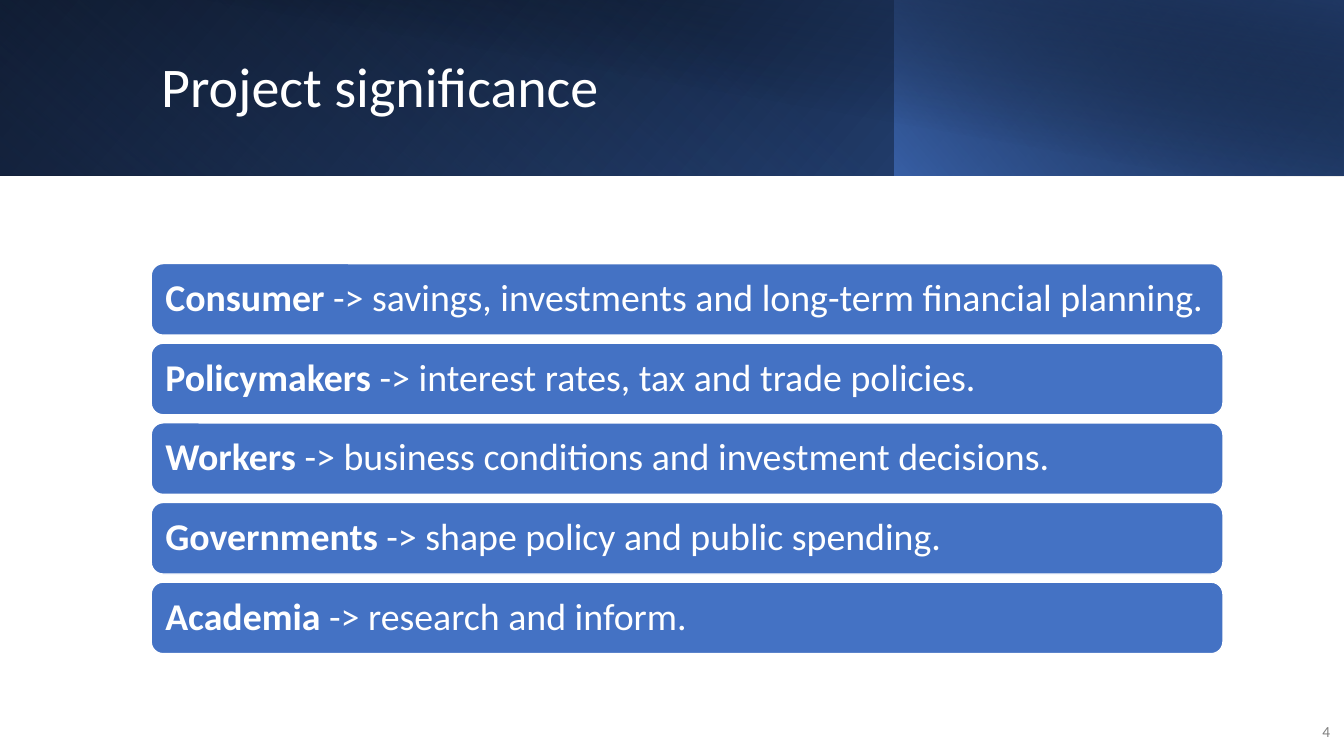
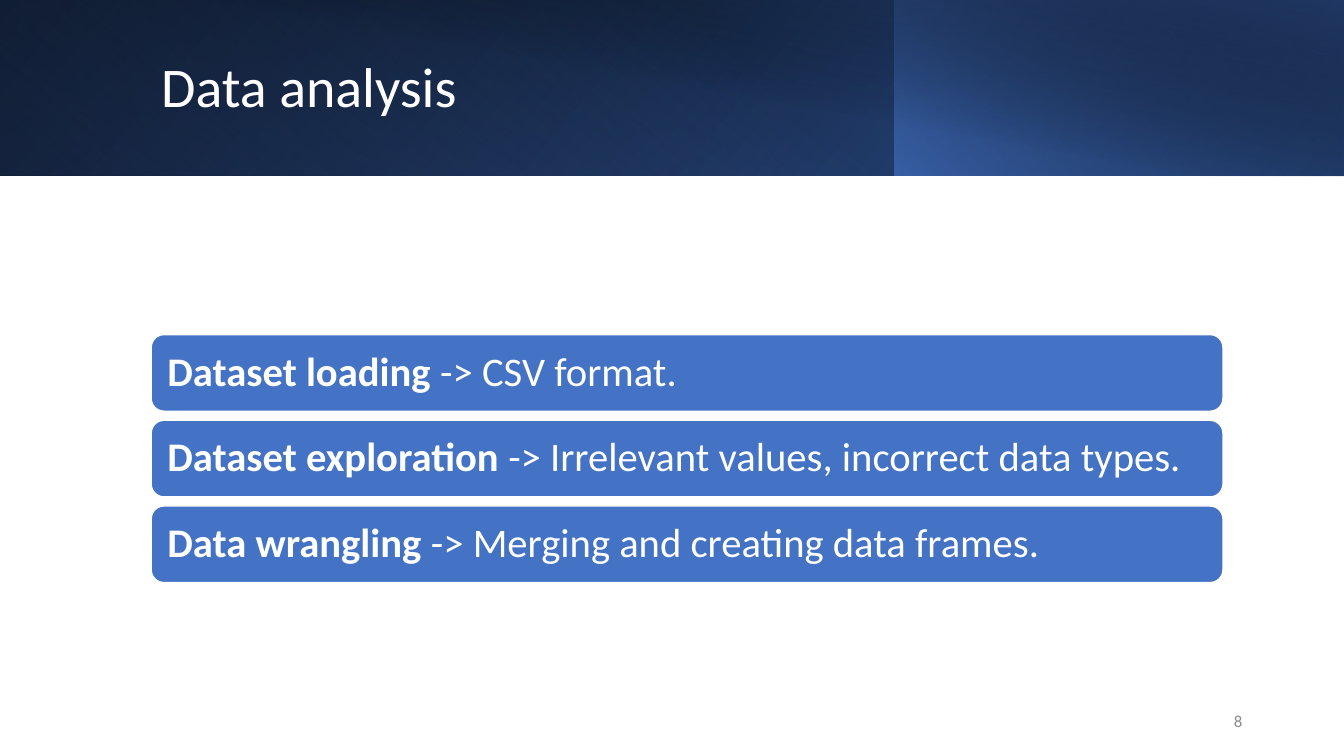
from lxml import etree
from pptx import Presentation
from pptx.dml.color import RGBColor
from pptx.enum.shapes import MSO_SHAPE as Shape
from pptx.enum.text import MSO_ANCHOR as Anchor, PP_ALIGN as Align
from pptx.oxml import parse_xml
from pptx.oxml.ns import nsdecls, qn
from pptx.util import Inches, Pt

FONT = "Calibri"
WHITE, BLUE, NAVY, BLACK = "FFFFFF", "4472C4", "203864", "000000"

# Header layers: (left, top, width, height), angle, (position %, colour, opacity %)
HEADER = [
    ((0, 0, 13.33, 1.74), 40, [(0, BLACK, 100), (100, "2F5597", 100)]),
    ((0, 0, 8.88, 1.74), 130, [(20, BLUE, 0), (100, NAVY, 55)]),
    ((8.87, 0, 4.46, 1.74), 320, [(0, BLUE, 66), (100, BLACK, 30)]),
    ((0.5, 0, 12.83, 1.75), 280, [(50, BLACK, 0), (99, NAVY, 52)]),
]
TITLE_BOX = (1.5, 0.32, 10.82, 1.13)
BAR_LEFT, BAR_WIDTH, BARS_MIDDLE = 1.5, 10.63, 4.55

SLIDES = [
    {
        "title": "Project significance",
        "bars": [
            ("Consumer", "savings, investments and long-term financial planning."),
            ("Policymakers", "interest rates, tax and trade policies."),
            ("Workers", "business conditions and investment decisions."),
            ("Governments", "shape policy and public spending."),
            ("Academia", "research and inform."),
        ],
        "bar": {"height": 0.71, "gap": 0.08, "inset": 0.14, "size": 27},
        "number": {"text": "4", "box": (12.8, 7.06, 0.49, 0.4),
                   "size": 11, "color": "808080"},
    },
    {
        "title": "Data analysis",
        "bars": [
            ("Dataset loading", "CSV format."),
            ("Dataset exploration", "Irrelevant values, incorrect data types."),
            ("Data wrangling", "Merging and creating data frames."),
        ],
        "bar": {"height": 0.76, "gap": 0.09, "inset": 0.16, "size": 29},
        "number": {"text": "8", "box": (9.42, 6.95, 3, 0.4),
                   "size": 12, "color": "8C8C8C"},
    },
]


def rgb(color):
    return RGBColor.from_string(color)


def inches(box):
    return [Inches(v) for v in box]


def style(p, size, color, align=Align.LEFT):
    p.alignment = align
    p.font.name, p.font.size = FONT, Pt(size)
    p.font.color.rgb = rgb(color)


def add_shape(slide, kind, box):
    sp = slide.shapes.add_shape(kind, *inches(box))
    sp.shadow.inherit = False
    return sp


def fill_gradient(sp, angle, stops):
    """Fill with a linear gradient whose stops carry their own opacity."""
    sp.fill.background()
    grad = parse_xml(f'<a:gradFill {nsdecls("a")} rotWithShape="1"><a:gsLst/>'
                     f'<a:lin ang="{angle * 60000}" scaled="0"/></a:gradFill>')
    for pos, color, opacity in stops:
        gs = etree.SubElement(grad[0], qn("a:gs"), pos=str(pos * 1000))
        clr = etree.SubElement(gs, qn("a:srgbClr"), val=color)
        if opacity < 100:
            etree.SubElement(clr, qn("a:alpha"), val=str(opacity * 1000))
    no_fill = sp.element.spPr.find(qn("a:noFill"))
    no_fill.getparent().replace(no_fill, grad)


def add_header(slide):
    for box, angle, stops in HEADER:
        sp = add_shape(slide, Shape.RECTANGLE, box)
        fill_gradient(sp, angle, stops)
        sp.line.fill.background()


def add_text(slide, text, box, size, color, align=Align.LEFT):
    tf = slide.shapes.add_textbox(*inches(box)).text_frame
    tf.word_wrap, tf.vertical_anchor = True, Anchor.MIDDLE
    p = tf.paragraphs[0]
    p.text = text
    style(p, size, color, align)
    return p


def add_bar(slide, term, detail, top, height, inset, size):
    sp = add_shape(slide, Shape.ROUNDED_RECTANGLE,
                   (BAR_LEFT, top, BAR_WIDTH, height))
    sp.fill.solid()
    sp.fill.fore_color.rgb = rgb(BLUE)
    sp.line.color.rgb, sp.line.width = rgb(WHITE), Pt(1)
    tf = sp.text_frame
    tf.word_wrap, tf.vertical_anchor = True, Anchor.MIDDLE
    # The frame of a rounded rectangle is already inset by its corners.
    corner = sp.adjustments[0] * height * 0.29
    tf.margin_left = tf.margin_right = Inches(inset - corner)
    tf.margin_top = tf.margin_bottom = 0
    p = tf.paragraphs[0]
    style(p, size, WHITE)
    p.line_spacing = 0.9
    for text, bold in ((term, True), (f" -> {detail}", False)):
        r = p.add_run()
        r.text, r.font.bold = text, bold


def add_bars(slide, bars, height, gap, inset, size):
    """Stack the bars evenly around the middle line of the body."""
    pitch = height + gap
    first = BARS_MIDDLE - (len(bars) * pitch - gap) / 2
    for i, (term, detail) in enumerate(bars):
        add_bar(slide, term, detail, first + i * pitch, height, inset, size)


def main():
    prs = Presentation()
    prs.slide_width, prs.slide_height = Inches(13.33), Inches(7.5)
    for content in SLIDES:
        slide = prs.slides.add_slide(prs.slide_layouts[6])
        add_header(slide)
        title = add_text(slide, content["title"], TITLE_BOX, 40, WHITE)
        title.line_spacing = 0.9
        add_bars(slide, content["bars"], **content["bar"])
        add_text(slide, **content["number"], align=Align.RIGHT)
    prs.save("out.pptx")


if __name__ == "__main__":
    main()
